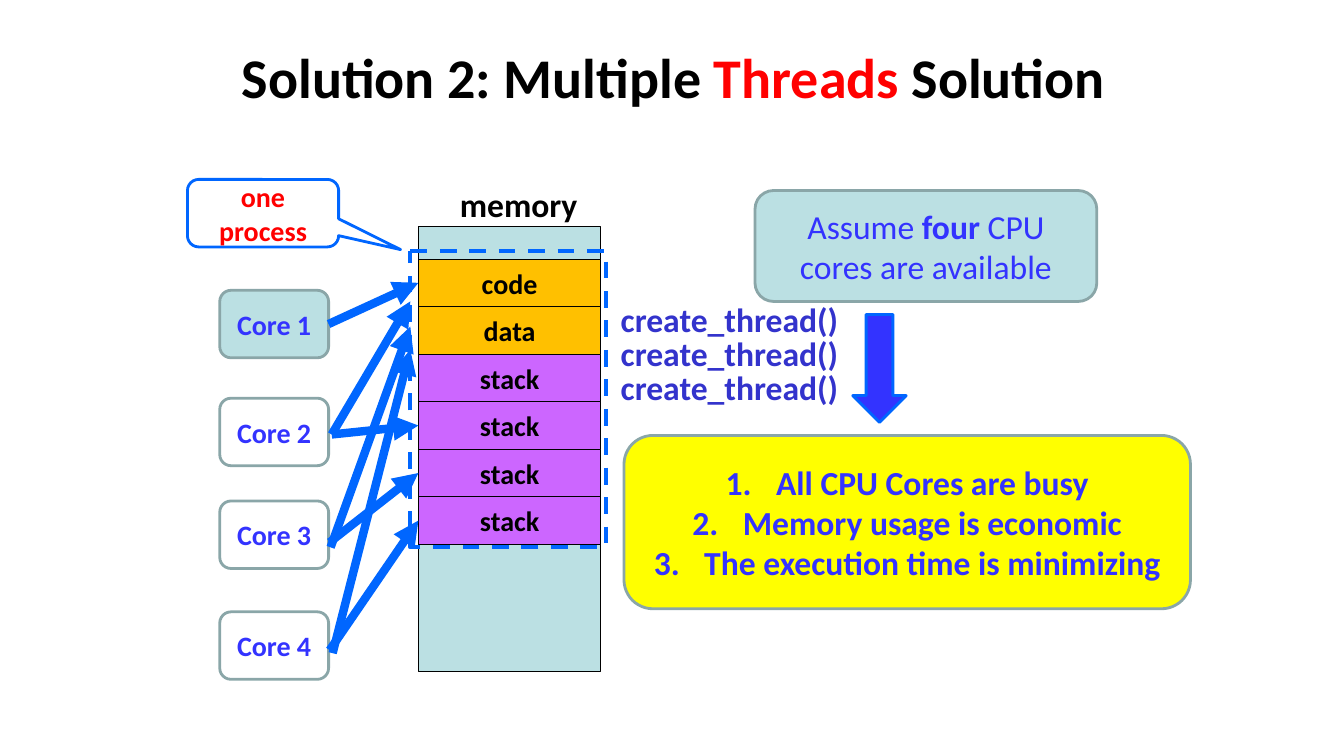
from lxml import etree
from pptx import Presentation
from pptx import util as u
from pptx.dml.color import RGBColor
from pptx.enum import dml, shapes, text
from pptx.oxml import ns

WIDTH, HEIGHT = u.Inches(13.333), u.Inches(7.5)
FONT = "Calibri"
BLACK, RED, INK, CALL_INK = "000000", "FF0000", "3333FF", "3333CC"
BLUE, TEAL, EDGE = "0066FF", "BBE0E3", "8AA6A8"
AMBER, PURPLE, YELLOW = "FFC000", "CC66FF", "FFFF00"
KIND = shapes.MSO_SHAPE
ROUNDED = KIND.FLOWCHART_ALTERNATE_PROCESS
LEFT, RIGHT = 1, 3

MEMORY_X, MEMORY_WIDTH = 31.13, 13.58
SEGMENT_TOP, SEGMENT_HEIGHT = 34.27, 6.29
SEGMENTS = [("code", AMBER), ("data", AMBER)] + [("stack", PURPLE)] * 4
CORE_TOPS = [38.4, 52.67, 66.27, 80.93]
PROCESS_X = 30.53
# Per extra core: start of its shared-data arrow, its end height, start of its stack arrow
THREADS = [
    ((24.68, 57.47), 39.87, (24.68, 57.47)),
    ((24.6, 72.4), 43.2, (24.53, 71.73)),
    ((24.75, 86.4), 46.27, (24.53, 86)),
]


def across(share):
    """Length for a percentage of the slide's width."""
    return round(WIDTH * share / 100)


def down(share):
    """Length for a percentage of the slide's height."""
    return round(HEIGHT * share / 100)


def box(x, y, width, height):
    return across(x), down(y), across(width), down(height)


def color(hex_value):
    return RGBColor.from_string(hex_value)


def style(paragraph, size, ink, bold=True):
    paragraph.alignment = text.PP_ALIGN.CENTER
    font = paragraph.font
    font.name, font.size, font.bold = FONT, u.Pt(size), bold
    font.color.rgb = color(ink)


def write(frame, wording, size, ink, wrap=True):
    frame.word_wrap = wrap
    frame.vertical_anchor = text.MSO_ANCHOR.MIDDLE
    frame.text = wording
    for paragraph in frame.paragraphs:
        style(paragraph, size, ink)


def add_block(slide, kind, place, fill, edge, weight):
    block = slide.shapes.add_shape(kind, *box(*place))
    block.shadow.inherit = False
    if fill:
        block.fill.solid()
        block.fill.fore_color.rgb = color(fill)
    else:
        block.fill.background()
    block.line.color.rgb = color(edge)
    block.line.width = u.Pt(weight)
    return block


def add_label(slide, wording, place, ink):
    label = slide.shapes.add_textbox(*box(*place))
    write(label.text_frame, wording, 24, ink)
    label.text_frame.vertical_anchor = text.MSO_ANCHOR.TOP
    label.text_frame.auto_size = text.MSO_AUTO_SIZE.SHAPE_TO_FIT_TEXT


def add_arrow(slide, start=(0, 0), end=(0, 0), source=None, target=None):
    """Arrow between two points, or joined to the right of source and left of target."""
    arrow = slide.shapes.add_connector(
        shapes.MSO_CONNECTOR.STRAIGHT,
        across(start[0]), down(start[1]), across(end[0]), down(end[1]))
    if source is not None:
        arrow.begin_connect(source, RIGHT)
    if target is not None:
        arrow.end_connect(target, LEFT)
    arrow.line.color.rgb = color(BLUE)
    arrow.line.width = u.Pt(6)
    etree.SubElement(arrow.line._get_or_add_ln(), ns.qn("a:tailEnd"), type="triangle")
    etree.SubElement(arrow._element.spPr, ns.qn("a:effectLst"))


def add_title(slide):
    title = slide.shapes.title
    title.left, title.top, title.width, title.height = box(5.1, 1.73, 90, 16.67)
    write(title.text_frame, "", 40, BLACK)
    heading = title.text_frame.paragraphs[0]
    for wording, ink in [("Solution 2: Multiple ", BLACK), ("Threads", RED),
                         (" Solution", BLACK)]:
        run = heading.add_run()
        run.text = wording
        run.font.color.rgb = color(ink)


def add_memory(slide):
    """Draws the memory column and returns its segments from top to bottom."""
    add_block(slide, KIND.RECTANGLE, (MEMORY_X, 30, MEMORY_WIDTH, 58.8), TEAL, BLACK, 0.75)
    add_label(slide, "memory", (32.1, 23.73, 12.98, 6.67), BLACK)
    segments = []
    for row, (name, fill) in enumerate(SEGMENTS):
        place = (MEMORY_X, SEGMENT_TOP + row * SEGMENT_HEIGHT, MEMORY_WIDTH, SEGMENT_HEIGHT)
        segment = add_block(slide, KIND.RECTANGLE, place, fill, BLACK, 0.75)
        write(segment.text_frame, name, 20, BLACK, wrap=False)
        segments.append(segment)
    return segments


def add_cores(slide):
    cores = []
    for number, top in enumerate(CORE_TOPS, 1):
        fill = TEAL if number == 1 else None
        core = add_block(slide, ROUNDED, (16.35, top, 8.1, 8.93), fill, EDGE, 2)
        write(core.text_frame, f"Core {number}", 20, INK)
        cores.append(core)
    return cores


def add_assumption(slide):
    assumption = add_block(slide, ROUNDED, (56.18, 25.2, 25.43, 14.67), TEAL, EDGE, 2)
    write(assumption.text_frame, "", 24, INK)
    sentence = assumption.text_frame.paragraphs[0]
    style(sentence, 24, INK, bold=False)
    for wording, bold in [("Assume ", False), ("four", True),
                          (" CPU cores are available", False)]:
        run = sentence.add_run()
        run.text = wording
        run.font.bold = bold


def add_benefits(slide):
    benefits = add_block(slide, ROUNDED, (46.43, 57.6, 42.15, 22.93), YELLOW, EDGE, 2)
    frame = benefits.text_frame
    frame.text = ("All CPU Cores are busy\nMemory usage is economic\n"
                  "The execution time is minimizing")
    for paragraph in frame.paragraphs:
        properties = paragraph._p.get_or_add_pPr()
        properties.set("marL", str(u.Inches(0.5)))
        properties.set("indent", str(-u.Inches(0.5)))
        etree.SubElement(properties, ns.qn("a:buFont"), typeface="+mj-lt")
        etree.SubElement(properties, ns.qn("a:buAutoNum"), type="arabicPeriod")
        style(paragraph, 24, INK)
    frame.word_wrap = True
    frame.vertical_anchor = text.MSO_ANCHOR.MIDDLE


def add_process(slide):
    outline = add_block(slide, KIND.FLOWCHART_PROCESS, (PROCESS_X, 33.2, 14.55, 39.2),
                        None, BLUE, 3)
    outline.line.dash_style = dml.MSO_LINE.DASH
    callout = add_block(slide, KIND.ROUNDED_RECTANGULAR_CALLOUT,
                        (13.95, 23.73, 11.25, 8.93), None, BLUE, 2)
    callout.adjustments[0], callout.adjustments[1] = 0.91, 0.54
    write(callout.text_frame, "one process", 20, RED)


def main():
    deck = Presentation()
    deck.slide_width, deck.slide_height = WIDTH, HEIGHT
    slide = deck.slides.add_slide(deck.slide_layouts[5])
    add_title(slide)
    segments = add_memory(slide)
    cores = add_cores(slide)
    add_arrow(slide, source=cores[0], target=segments[0])
    add_assumption(slide)
    add_block(slide, KIND.DOWN_ARROW, (63.45, 41.6, 3.98, 14.27), INK, BLUE, 2)
    add_benefits(slide)
    for call in range(3):
        add_label(slide, "create_thread()", (44.15, 38.93 + call * 4.47, 20.25, 6.67), CALL_INK)
    for (data_start, data_height, stack_start), stack in zip(THREADS, segments[3:]):
        add_arrow(slide, data_start, (PROCESS_X, data_height))
        add_arrow(slide, stack_start, target=stack)
    add_process(slide)
    deck.save("out.pptx")


if __name__ == "__main__":
    main()
